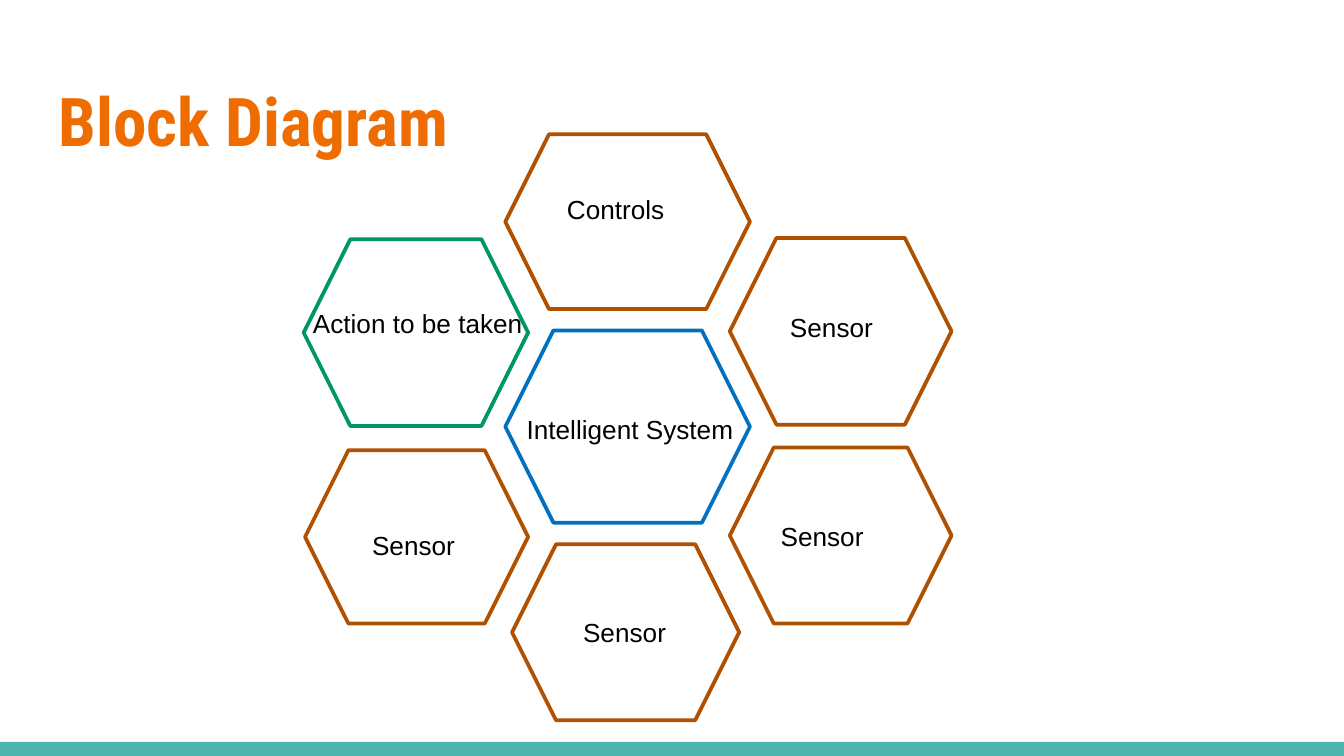
from pptx import Presentation
from pptx.dml.color import RGBColor
from pptx.enum.shapes import MSO_SHAPE
from pptx.enum.text import MSO_ANCHOR
from pptx.util import Inches, Pt

COLORS = {
    "bar": "4DB6AC",
    "title": "EF6C00",
    "core": "0070C0",
    "action": "009668",
    "part": "B15000",
    "text": "000000",
}

# Hexagon box, line colour, label, label box
CELLS = [
    ((3.76, 2.46, 1.82, 1.43), "core", "Intelligent System", (3.82, 3.03, 2.43, 0.34)),
    ((2.26, 1.78, 1.67, 1.39), "action", "Action to be taken", (2.23, 2.24, 1.83, 0.34)),
    ((3.76, 1, 1.82, 1.3), "part", "Controls", (4.12, 1.39, 1.1, 0.34)),
    ((2.27, 3.35, 1.66, 1.29), "part", "Sensor", (2.67, 3.89, 1.1, 0.34)),
    ((3.81, 4.05, 1.69, 1.31), "part", "Sensor", (4.24, 4.54, 1.1, 0.34)),
    ((5.43, 3.33, 1.65, 1.31), "part", "Sensor", (5.71, 3.82, 1.1, 0.34)),
    ((5.43, 1.77, 1.65, 1.39), "part", "Sensor", (5.78, 2.27, 1.1, 0.34)),
]


def color(name):
    return RGBColor.from_string(COLORS[name])


def add_shape(slide, kind, box):
    shape = slide.shapes.add_shape(kind, *map(Inches, box))
    shape.shadow.inherit = False
    return shape


def add_bar(slide, box):
    bar = add_shape(slide, MSO_SHAPE.RECTANGLE, box)
    bar.fill.solid()
    bar.fill.fore_color.rgb = color("bar")
    bar.line.fill.background()


def add_hexagon(slide, box, tone):
    cell = add_shape(slide, MSO_SHAPE.HEXAGON, box)
    cell.fill.background()
    cell.line.color.rgb = color(tone)
    cell.line.width = Pt(2)


def add_text(slide, text, box, size=14, font="Arial", tone="text", bold=False):
    shape = slide.shapes.add_textbox(*map(Inches, box))
    frame = shape.text_frame
    frame.word_wrap = True
    frame.vertical_anchor = MSO_ANCHOR.TOP
    frame.text = text
    style = frame.paragraphs[0].runs[0].font
    style.size = Pt(size)
    style.name = font
    style.bold = bold
    style.color.rgb = color(tone)
    return frame


def main():
    deck = Presentation()
    deck.slide_width = Inches(10)
    deck.slide_height = deck.slide_width * 9 // 16
    slide = deck.slides.add_slide(deck.slide_layouts[6])

    add_bar(slide, (0, 5.52, 10, 0.11))
    title = add_text(slide, "Block Diagram", (0.34, 0.49, 9.32, 0.77),
                     36, "Roboto Condensed", "title", True)
    title.margin_top = title.margin_bottom = Inches(0.1)

    for box, tone, _, _ in CELLS:
        add_hexagon(slide, box, tone)
    for _, _, label, box in CELLS:
        add_text(slide, label, box)

    deck.save("out.pptx")


if __name__ == "__main__":
    main()
